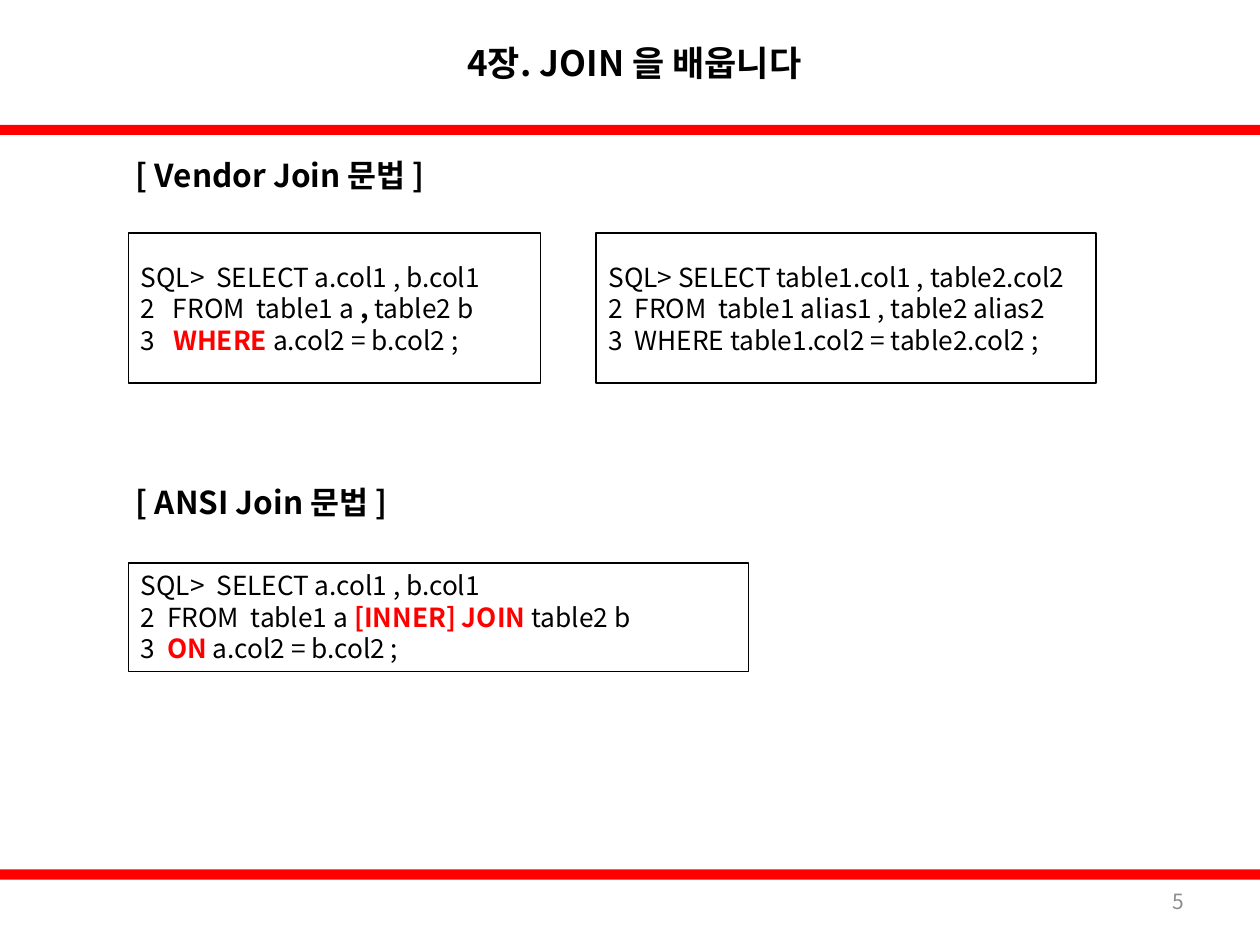
from lxml import etree
from pptx import Presentation
from pptx.dml.color import RGBColor
from pptx.enum.shapes import MSO_SHAPE
from pptx.enum.text import MSO_ANCHOR, PP_ALIGN
from pptx.oxml.ns import qn
from pptx.util import Pt

RECTANGLE = MSO_SHAPE.RECTANGLE
MIDDLE, TOP = MSO_ANCHOR.MIDDLE, MSO_ANCHOR.TOP
LEFT, CENTER, RIGHT, JUSTIFY = PP_ALIGN.LEFT, PP_ALIGN.CENTER, PP_ALIGN.RIGHT, PP_ALIGN.JUSTIFY
FONT = "Noto Sans CJK KR"
BLACK, WHITE, RED, GRAY = "000000", "FFFFFF", "FF0000", "8C8C8C"
PAGE_WIDTH, PAGE_HEIGHT = 720, 540
BAR_HEIGHT = 5.8
HEADER_HEIGHT = 71.3

ALIAS_QUERY = [
    [("SQL>  SELECT a.col1 , b.col1", BLACK, False)],
    [("2   FROM  table1 a", BLACK, False), (" ,", BLACK, True), (" table2 b", BLACK, False)],
    [("3  ", BLACK, False), (" WHERE ", RED, True), ("a.col2 = b.col2 ; ", BLACK, False)],
]
TABLE_QUERY = [
    [("SQL> SELECT table1.col1 , table2.col2", BLACK, False)],
    [("2  FROM  table1 alias1 , table2 alias2", BLACK, False)],
    [("3  WHERE table1.col2 = table2.col2 ;", BLACK, False)],
]
ANSI_QUERY = [
    [("SQL>  SELECT a.col1 , b.col1", BLACK, False)],
    [("2  FROM  table1 a ", BLACK, False), ("[INNER] JOIN ", RED, True), ("table2 b", BLACK, False)],
    [("3  ", BLACK, False), ("ON", RED, True), (" a.col2 = b.col2 ;", BLACK, False)],
]


def color(value):
    """Turn a hex string into a colour."""
    return RGBColor.from_string(value)


def style_paragraph(para, size, align):
    """Set the alignment, size and both typefaces of a paragraph."""
    para.alignment = align
    para.font.size = Pt(size)
    para.font.name = FONT
    properties = para.font._element
    etree.SubElement(properties, qn("a:ea")).set("typeface", FONT)


def add_label(page, box, text, size, align, bold=True, ink=BLACK):
    """Place a single line of text, centred vertically in its box."""
    label = page.shapes.add_textbox(*map(Pt, box))
    frame = label.text_frame
    frame.word_wrap = True
    frame.vertical_anchor = MIDDLE
    para = frame.paragraphs[0]
    para.text = text
    style_paragraph(para, size, align)
    para.font.bold = bold
    para.font.color.rgb = color(ink)


def add_rectangle(page, box, fill, line=None):
    """Place a flat rectangle, outlined when a line colour is given."""
    shape = page.shapes.add_shape(RECTANGLE, *map(Pt, box))
    shape.shadow.inherit = False
    shape.fill.solid()
    shape.fill.fore_color.rgb = color(fill)
    if line:
        shape.line.color.rgb = color(line)
        shape.line.width = Pt(0.75)
    else:
        shape.line.fill.background()
    return shape


def add_code(page, box, query, anchor):
    """Place a framed query with its keywords highlighted."""
    frame = add_rectangle(page, box, WHITE, BLACK).text_frame
    frame.word_wrap = True
    frame.vertical_anchor = anchor
    for index, line in enumerate(query):
        para = frame.add_paragraph() if index else frame.paragraphs[0]
        style_paragraph(para, 15, JUSTIFY)
        para.line_spacing = Pt(18)
        for text, ink, bold in line:
            span = para.add_run()
            span.text = text
            span.font.bold = bold
            span.font.color.rgb = color(ink)


def add_section(page, left, top, heading, codes, code_offset, code_height, anchor):
    """Place a heading with a row of queries below it."""
    add_label(page, (left, top, 249.1, 33.8), heading, 18, LEFT)
    for offset, width, query in codes:
        box = (left + offset, top + code_offset, width, code_height)
        add_code(page, box, query, anchor)


def add_frame(page, title, number):
    """Place the title, the page number and the two red bars."""
    for top in (HEADER_HEIGHT, 496.8):
        add_rectangle(page, (0, top, PAGE_WIDTH, BAR_HEIGHT), RED)
    add_label(page, (121.7, 0, 481.7, HEADER_HEIGHT), title, 20, CENTER)
    add_label(page, (516.2, 500.4, 167.8, 28.8), number, 12, RIGHT, False, GRAY)


def main():
    """Build and save the deck."""
    deck = Presentation()
    deck.slide_width, deck.slide_height = Pt(PAGE_WIDTH), Pt(PAGE_HEIGHT)
    page = deck.slides.add_slide(deck.slide_layouts[6])
    add_frame(page, "4장. JOIN 을 배웁니다", "5")
    vendor_codes = [(2.8, 235.4, ALIAS_QUERY), (270, 285.8, TABLE_QUERY)]
    add_section(page, 70.6, 82.8, "[ Vendor Join 문법 ]", vendor_codes, 50.4, 85.7, MIDDLE)
    ansi_codes = [(2.8, 354.2, ANSI_QUERY)]
    add_section(page, 70.6, 270, "[ ANSI Join 문법 ]", ansi_codes, 51.8, 61.9, TOP)
    deck.save("out.pptx")


if __name__ == "__main__":
    main()
